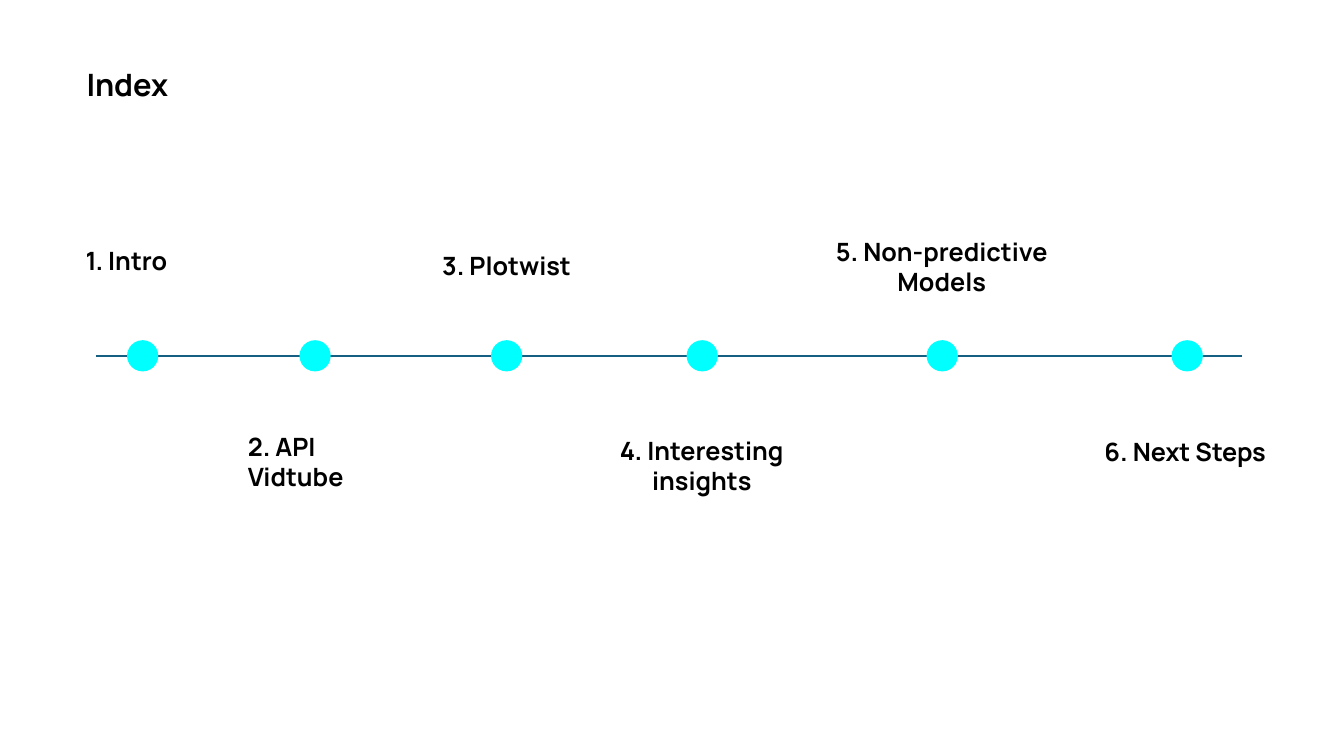
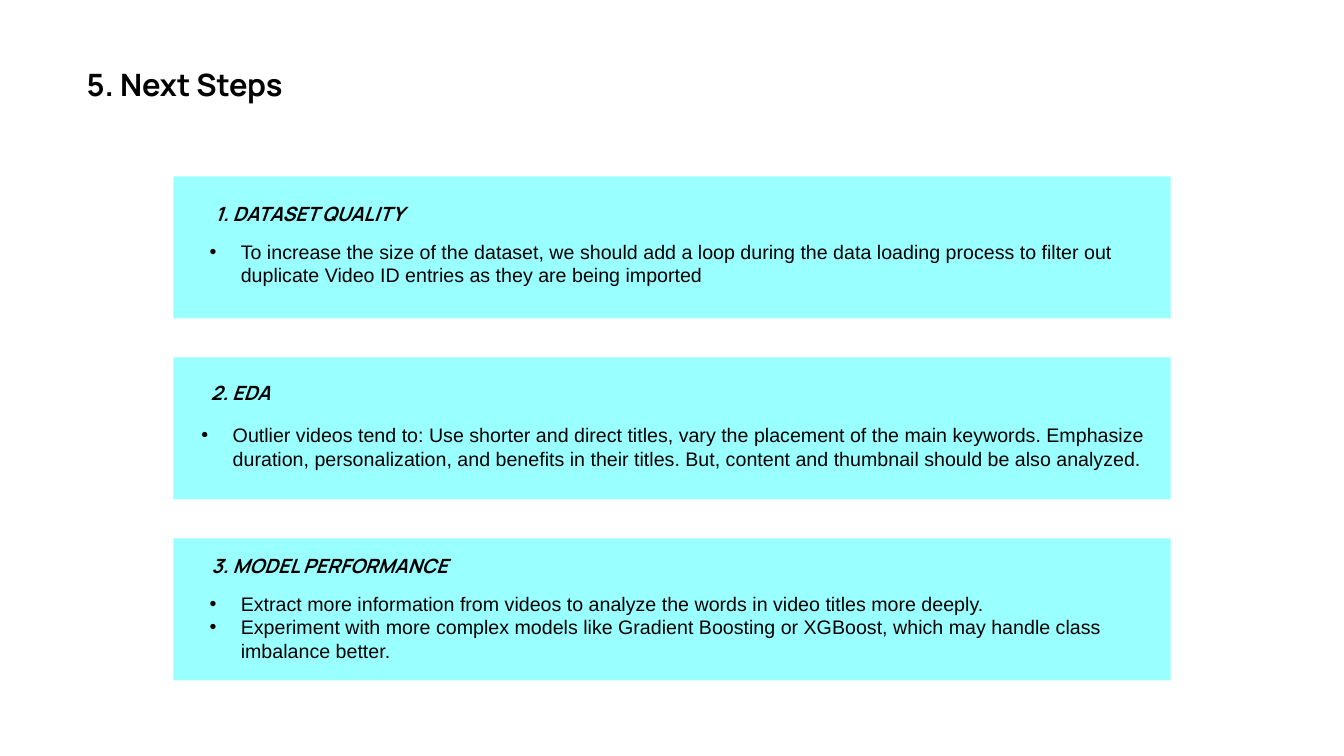
from dataclasses import dataclass

from lxml import etree
from pptx import Presentation
from pptx.dml.color import RGBColor
from pptx.enum.shapes import MSO_CONNECTOR, MSO_SHAPE
from pptx.enum.text import MSO_AUTO_SIZE, PP_ALIGN
from pptx.oxml.ns import qn
from pptx.shapes.autoshape import Shape
from pptx.slide import Slide
from pptx.util import Inches, Pt

LEFT, CENTER = PP_ALIGN.LEFT, PP_ALIGN.CENTER
DOT, RECTANGLE = MSO_SHAPE.FLOWCHART_CONNECTOR, MSO_SHAPE.RECTANGLE
STRAIGHT = MSO_CONNECTOR.STRAIGHT
GROW = MSO_AUTO_SIZE.SHAPE_TO_FIT_TEXT


@dataclass(frozen=True)
class TextStyle:
    font: str
    size: int
    bold: bool = False
    italic: bool = False


@dataclass(frozen=True)
class Theme:
    ink: str = "000000"
    axis: str = "156082"
    dot: str = "00FFFF"
    band: str = "99FFFF"
    title: TextStyle = TextStyle("Manrope", 22, bold=True)
    label: TextStyle = TextStyle("Manrope", 18, bold=True)
    heading: TextStyle = TextStyle("Manrope", 14, bold=True, italic=True)
    body: TextStyle = TextStyle("Arial", 14)


@dataclass(frozen=True)
class Box:
    """Position and size in inches."""
    left: float
    top: float
    width: float
    height: float


@dataclass(frozen=True)
class Milestone:
    dot_left: float
    label_box: Box
    lines: tuple[str, ...]
    align: PP_ALIGN = CENTER


@dataclass(frozen=True)
class NextStep:
    heading: str
    heading_box: Box
    points: tuple[str, ...]
    points_box: Box


THEME = Theme()
TITLE_BOX = Box(0.76, 0.6, 11.81, 0.47)

AXIS_START, AXIS_END, AXIS_Y = 0.95, 12.32, 3.53
DOT_SIZE = 0.31
MILESTONES = (
    Milestone(1.26, Box(0.75, 2.38, 1.63, 0.4), ("1. Intro",), LEFT),
    Milestone(2.97, Box(2.36, 4.23, 1.63, 0.71), ("2. API Vidtube",), LEFT),
    Milestone(4.87, Box(4.21, 2.43, 1.63, 0.4), ("3. Plotwist",)),
    Milestone(6.81, Box(6, 4.27, 1.92, 0.71), ("4. Interesting insights",)),
    Milestone(9.19, Box(8.08, 2.29, 2.52, 0.71), ("5. Non-predictive", "Models")),
    Milestone(11.62, Box(10.75, 4.28, 2.01, 0.4), ("6. Next Steps",)),
)

BAND_LEFT, BAND_WIDTH, BAND_HEIGHT = 1.72, 9.89, 1.41
FIRST_BAND_TOP, LAST_BAND_TOP = 1.75, 5.34
BULLET_INDENT = 0.31
NEXT_STEPS = (
    NextStep(
        "1. DATASET QUALITY",
        Box(BAND_LEFT, 1.95, 2.7, 0.34),
        ("To increase the size of the dataset, we should add a loop during the data "
         "loading process to filter out duplicate Video ID entries as they are being "
         "imported",),
        Box(1.98, 2.28, 9.52, 0.67),
    ),
    NextStep(
        "2. EDA",
        Box(BAND_LEFT, 3.73, 1.33, 0.34),
        ("Outlier videos tend to: Use shorter and direct titles, vary the placement of "
         "the main keywords. Emphasize duration, personalization, and benefits in their "
         "titles. But, content and thumbnail should be also analyzed.",),
        Box(1.9, 4.1, 9.71, 0.67),
    ),
    NextStep(
        "3. MODEL PERFORMANCE",
        Box(BAND_LEFT, 5.45, 3.1, 0.34),
        ("Extract more information from videos to analyze the words in video titles "
         "more deeply.",
         "Experiment with more complex models like Gradient Boosting or XGBoost, which "
         "may handle class imbalance better."),
        Box(1.98, 5.77, 9.38, 0.91),
    ),
)


def emu(box: Box) -> tuple[Inches, ...]:
    return tuple(Inches(v) for v in (box.left, box.top, box.width, box.height))


def add_text(slide: Slide, box: Box, lines: tuple[str, ...], style: TextStyle,
             align: PP_ALIGN = LEFT, inset_y: float = 0.05) -> Shape:
    text_box = slide.shapes.add_textbox(*emu(box))
    frame = text_box.text_frame
    frame.word_wrap = True
    frame.auto_size = GROW
    frame.margin_left = frame.margin_right = Inches(0.1)
    frame.margin_top = frame.margin_bottom = Inches(inset_y)
    for index, line in enumerate(lines):
        paragraph = frame.add_paragraph() if index else frame.paragraphs[0]
        paragraph.alignment = align
        run = paragraph.add_run()
        run.text = line
        run.font.name = style.font
        run.font.size = Pt(style.size)
        run.font.bold = style.bold
        run.font.italic = style.italic
        run.font.color.rgb = RGBColor.from_string(THEME.ink)
    return text_box


def add_bullets(slide: Slide, box: Box, points: tuple[str, ...]) -> None:
    text_box = add_text(slide, box, points, THEME.body, inset_y=0.1)
    indent = Inches(BULLET_INDENT)
    for paragraph in text_box.text_frame.paragraphs:
        properties = paragraph._p.get_or_add_pPr()
        properties.set("marL", str(indent))
        properties.set("indent", str(-indent))
        color = etree.SubElement(properties, qn("a:buClr"))
        etree.SubElement(color, qn("a:srgbClr"), val=THEME.ink)
        etree.SubElement(properties, qn("a:buFont"), typeface=THEME.body.font)
        etree.SubElement(properties, qn("a:buChar"), char="•")


def add_filled(slide: Slide, preset: MSO_SHAPE, box: Box, color: str) -> None:
    shape = slide.shapes.add_shape(preset, *emu(box))
    shape.shadow.inherit = False
    shape.fill.solid()
    shape.fill.fore_color.rgb = RGBColor.from_string(color)
    shape.line.fill.background()


def add_axis(slide: Slide) -> None:
    axis = slide.shapes.add_connector(
        STRAIGHT, Inches(AXIS_START), Inches(AXIS_Y), Inches(AXIS_END), Inches(AXIS_Y))
    axis.line.color.rgb = RGBColor.from_string(THEME.axis)
    axis.line.width = Pt(1.5)
    etree.SubElement(axis._element.spPr, qn("a:effectLst"))


def add_titled_slide(deck: Presentation, title: str) -> Slide:
    slide = deck.slides.add_slide(deck.slide_layouts[6])
    add_text(slide, TITLE_BOX, (title,), THEME.title)
    return slide


def build_index(deck: Presentation) -> None:
    slide = add_titled_slide(deck, "Index")
    add_axis(slide)
    dot_top = AXIS_Y - DOT_SIZE / 2
    for milestone in MILESTONES:
        dot_box = Box(milestone.dot_left, dot_top, DOT_SIZE, DOT_SIZE)
        add_filled(slide, DOT, dot_box, THEME.dot)
        add_text(slide, milestone.label_box, milestone.lines, THEME.label, milestone.align)


def build_next_steps(deck: Presentation) -> None:
    slide = add_titled_slide(deck, "5. Next Steps")
    pitch = (LAST_BAND_TOP - FIRST_BAND_TOP) / (len(NEXT_STEPS) - 1)
    for index, step in enumerate(NEXT_STEPS):
        band_box = Box(BAND_LEFT, FIRST_BAND_TOP + index * pitch, BAND_WIDTH, BAND_HEIGHT)
        add_filled(slide, RECTANGLE, band_box, THEME.band)
        add_text(slide, step.heading_box, (step.heading,), THEME.heading, CENTER)
        add_bullets(slide, step.points_box, step.points)


def main() -> None:
    deck = Presentation()
    deck.slide_width, deck.slide_height = Inches(13.33), Inches(7.5)
    build_index(deck)
    build_next_steps(deck)
    deck.save("out.pptx")


if __name__ == "__main__":
    main()
